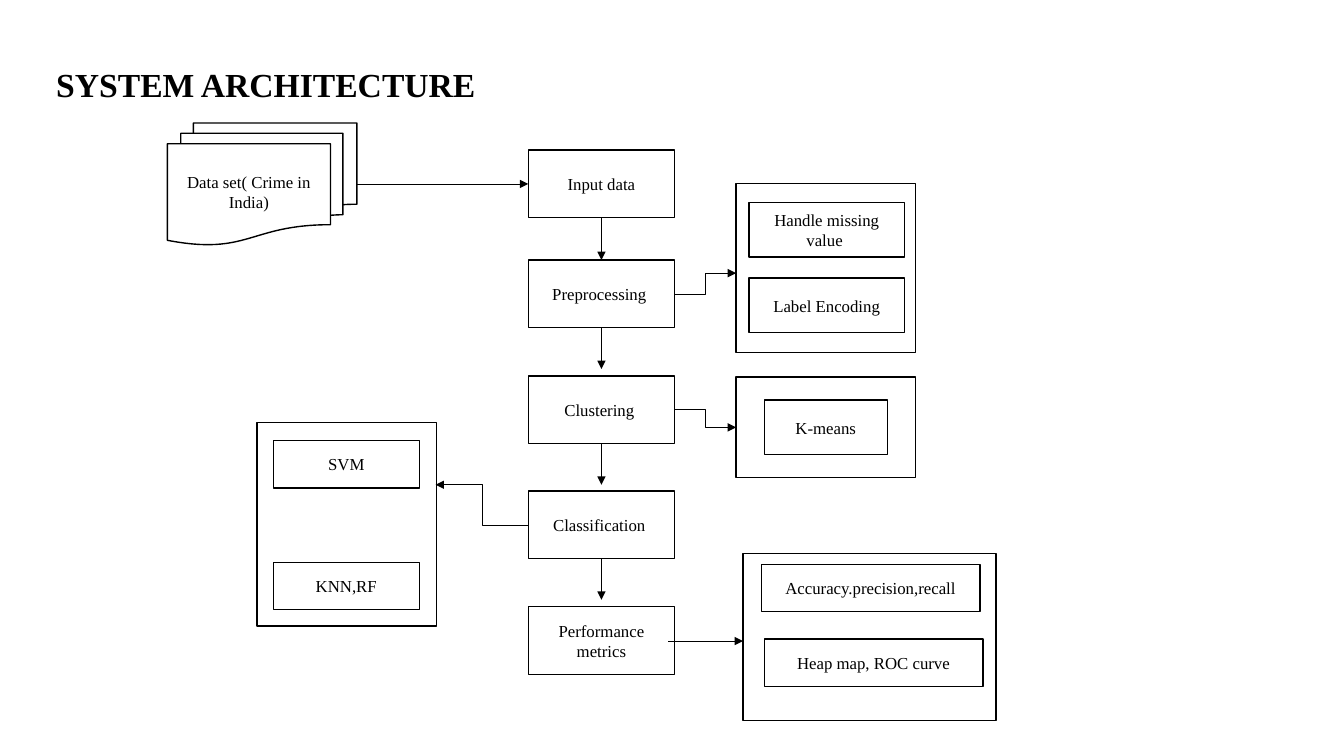
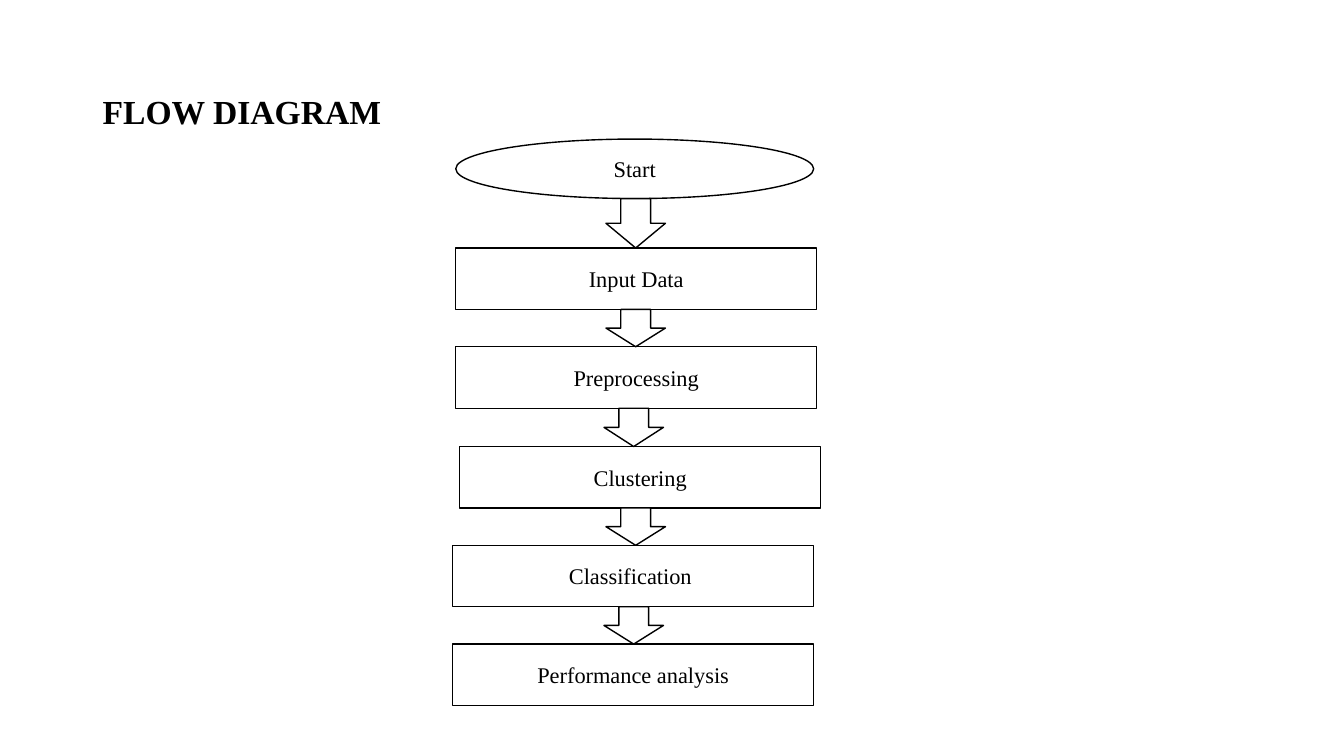
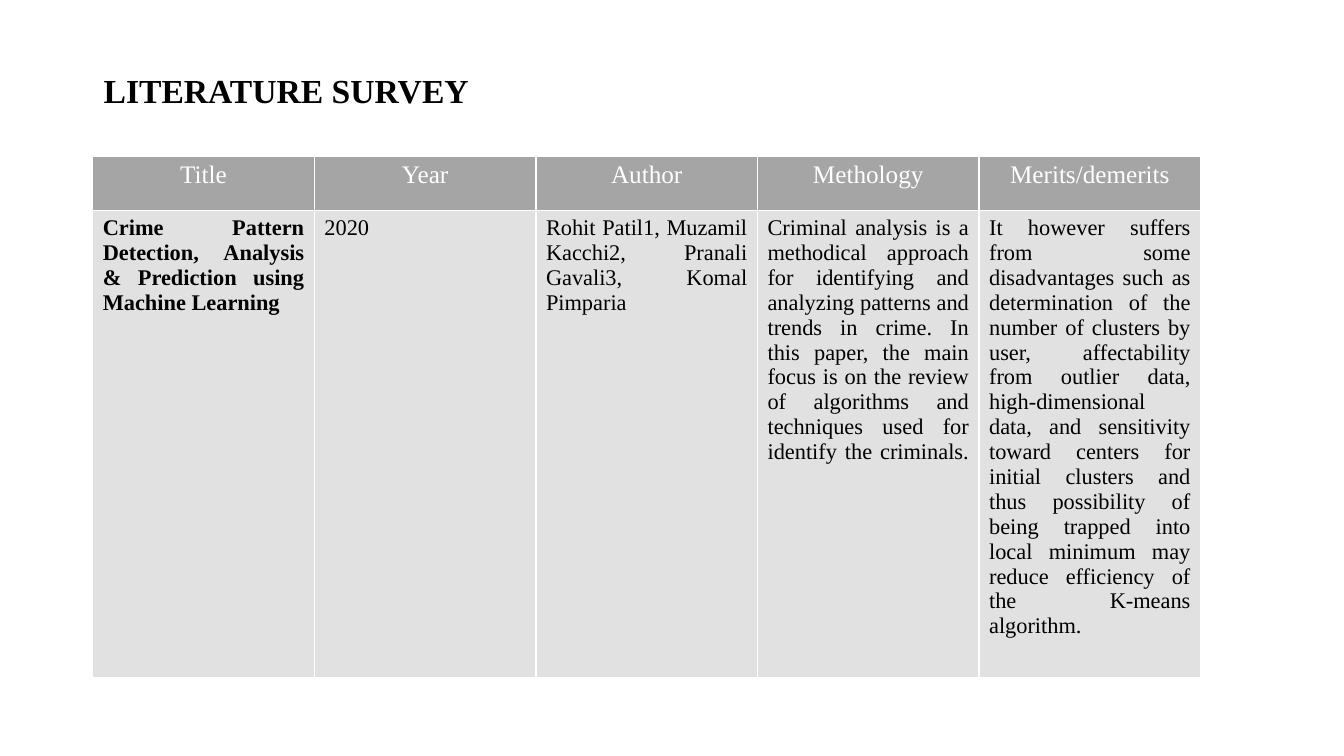
"""Build three slides: system architecture, flow diagram and literature survey."""
from lxml import etree
from pptx import Presentation
from pptx.dml.color import RGBColor
from pptx.enum.shapes import MSO_CONNECTOR, MSO_SHAPE
from pptx.enum.text import MSO_ANCHOR, PP_ALIGN
from pptx.oxml.ns import qn
from pptx.util import Inches, Pt

RECT, OVAL = MSO_SHAPE.RECTANGLE, MSO_SHAPE.OVAL
DOCS, DOWN = MSO_SHAPE.FLOWCHART_MULTIDOCUMENT, MSO_SHAPE.DOWN_ARROW
STRAIGHT, ELBOW = MSO_CONNECTOR.STRAIGHT, MSO_CONNECTOR.ELBOW
CENTER, JUSTIFY, LEFT = PP_ALIGN.CENTER, PP_ALIGN.JUSTIFY, PP_ALIGN.LEFT
MIDDLE = MSO_ANCHOR.MIDDLE
TOP_SIDE, LEFT_SIDE, BOTTOM_SIDE = 0, 1, 2

FONT = "Times New Roman"
BLACK, WHITE, GREY, PALE = "000000", "FFFFFF", "A5A5A5", "E1E1E1"

STAGE_X, STAGE_W, STAGE_H = 5.24, 1.45, 0.67
STAGES = [
    ("Input data", 1.49),
    ("Preprocessing ", 2.58),
    ("Clustering ", 3.73),
    ("Classification ", 4.87),
    ("Performance metrics", 6.02),
]
DATASET = ("Data set( Crime in India)", (1.66, 1.22, 1.88, 1.21))
PANELS = [
    ((7.3, 1.82, 1.78, 1.68), (1.54, 0.54),
     [("Handle missing value ", 7.43, 2.01), ("Label Encoding", 7.43, 2.76)]),
    ((7.3, 3.74, 1.78, 1), (1.22, 0.54), [("K-means", 7.58, 3.97)]),
    ((2.55, 4.19, 1.78, 2.02), (1.45, 0.47),
     [("SVM", 2.71, 4.37), ("KNN,RF", 2.71, 5.58)]),
    ((7.37, 5.49, 2.51, 1.66), (2.17, 0.47),
     [("Accuracy.precision,recall", 7.55, 5.6), ("Heap map, ROC curve", 7.58, 6.34)]),
]
BRANCHES = [
    (ELBOW, 6.69, 2.92, 7.3, 2.71),
    (ELBOW, 6.69, 4.06, 7.3, 4.24),
    (ELBOW, 5.24, 5.21, 4.32, 4.81),
    (STRAIGHT, 6.63, 6.36, 7.37, 6.36),
]
STAGE_ARROW = 0.41

FLOW = [
    ("Start", OVAL, (4.52, 1.38, 3.55, 0.59), 6.01),
    ("Input Data", RECT, (4.52, 2.46, 3.58, 0.61), 6.01),
    ("Preprocessing", RECT, (4.52, 3.44, 3.58, 0.61), 5.99),
    ("Clustering", RECT, (4.56, 4.43, 3.58, 0.61), 6.01),
    ("Classification ", RECT, (4.49, 5.41, 3.58, 0.61), 5.99),
    ("Performance analysis", RECT, (4.49, 6.39, 3.58, 0.61), None),
]
ARROW_W = 0.59

SURVEY = [
    ("Title", "Year", "Author", "Methology", "Merits/demerits"),
    (
        "Crime Pattern Detection, Analysis & Prediction using Machine Learning",
        "2020",
        "Rohit Patil1, Muzamil Kacchi2, Pranali Gavali3, Komal Pimparia",
        "Criminal analysis is a methodical approach for identifying and analyzing "
        "patterns and trends in crime. In this paper, the main focus is on the review "
        "of algorithms and techniques used for identify the criminals. ",
        "It however suffers from some disadvantages such as determination of the "
        "number of clusters by user, affectability from outlier data, high-dimensional "
        "data, and sensitivity toward centers for initial clusters and thus possibility "
        "of being trapped into local minimum may reduce efficiency of the K-means "
        "algorithm.",
    ),
]
SURVEY_BOX = (0.92, 1.55, 10.99, 5.08)
ROW_HEIGHTS = (0.54, 4.54)
ROW_STYLES = [(GREY, WHITE, 18, CENTER), (PALE, BLACK, 16, JUSTIFY)]


def rgb(value):
    return RGBColor.from_string(value)


def inches(values):
    return [Inches(v) for v in values]


def write(tf, text, size, color=BLACK, align=CENTER, bold=False):
    tf.word_wrap = True
    tf.text = text
    p = tf.paragraphs[0]
    p.alignment = align
    for r in p.runs:
        r.font.name, r.font.size, r.font.bold = FONT, Pt(size), bold
        r.font.color.rgb = rgb(color)
    return p


def add_slide(prs, title, left, top):
    slide = prs.slides.add_slide(prs.slide_layouts[6])
    slide.background.fill.solid()
    slide.background.fill.fore_color.rgb = rgb(WHITE)
    tf = slide.shapes.add_textbox(*inches((left, top, 11.5, 1.45))).text_frame
    tf.vertical_anchor = MIDDLE
    write(tf, title, 24, align=LEFT, bold=True).line_spacing = 0.9
    return slide


def add_box(slide, box, text="", size=12, kind=RECT):
    sp = slide.shapes.add_shape(kind, *inches(box))
    sp.shadow.inherit = False
    sp.fill.solid()
    sp.fill.fore_color.rgb = rgb(WHITE)
    sp.line.color.rgb = rgb(BLACK)
    sp.line.width = Pt(1)
    if text:
        sp.text_frame.vertical_anchor = MIDDLE
        write(sp.text_frame, text, size)
    return sp


def add_arrow(slide, kind, *ends):
    line = slide.shapes.add_connector(kind, *inches(ends))
    line.line.color.rgb = rgb(BLACK)
    line.line.width = Pt(0.5)
    etree.SubElement(line.line._get_or_add_ln(), qn("a:tailEnd"), type="triangle")
    etree.SubElement(line._element.spPr, qn("a:effectLst"))
    return line


def add_borders(cell):
    tcPr = cell._tc.get_or_add_tcPr()
    for side in ("lnL", "lnR", "lnT", "lnB"):
        ln = etree.SubElement(tcPr, qn(f"a:{side}"), w=str(Pt(1)))
        fill = etree.SubElement(ln, qn("a:solidFill"))
        etree.SubElement(fill, qn("a:srgbClr"), val=WHITE)


def build_architecture(prs):
    slide = add_slide(prs, "SYSTEM ARCHITECTURE", 0.46, 0.13)
    stages = [add_box(slide, (STAGE_X, top, STAGE_W, STAGE_H), text)
              for text, top in STAGES]
    text, box = DATASET
    add_box(slide, box, text, kind=DOCS)
    for panel, size, items in PANELS:
        add_box(slide, panel)
        for text, left, top in items:
            add_box(slide, (left, top, *size), text)

    mid_y = STAGES[0][1] + STAGE_H / 2
    feed = add_arrow(slide, STRAIGHT, box[0] + box[2], mid_y, STAGE_X, mid_y)
    feed.end_connect(stages[0], LEFT_SIDE)
    mid_x = STAGE_X + STAGE_W / 2
    for i, (_, top) in enumerate(STAGES[:-1]):
        bottom = top + STAGE_H
        line = add_arrow(slide, STRAIGHT, mid_x, bottom, mid_x, bottom + STAGE_ARROW)
        line.begin_connect(stages[i], BOTTOM_SIDE)
        if i == 0:
            line.end_connect(stages[1], TOP_SIDE)
    for branch in BRANCHES:
        add_arrow(slide, *branch)


def build_flow(prs):
    slide = add_slide(prs, "FLOW DIAGRAM", 0.92, 0.4)
    for text, kind, box, _ in FLOW:
        add_box(slide, box, text, 16, kind)
    for (_, _, box, left), (_, _, below, _) in zip(FLOW, FLOW[1:]):
        bottom = box[1] + box[3]
        add_box(slide, (left, bottom, ARROW_W, below[1] - bottom), kind=DOWN)


def build_survey(prs):
    slide = add_slide(prs, "LITERATURE SURVEY", 0.93, 0.19)
    table = slide.shapes.add_table(len(SURVEY), len(SURVEY[0]), *inches(SURVEY_BOX)).table
    table.first_row = table.horz_banding = False
    for i, (texts, (fill, color, size, align)) in enumerate(zip(SURVEY, ROW_STYLES)):
        table.rows[i].height = Inches(ROW_HEIGHTS[i])
        for j, text in enumerate(texts):
            cell = table.cell(i, j)
            add_borders(cell)
            cell.fill.solid()
            cell.fill.fore_color.rgb = rgb(fill)
            write(cell.text_frame, text, size, color, align, bold=(i == 1 and j == 0))


def main():
    prs = Presentation()
    prs.slide_width, prs.slide_height = inches((13.33, 7.5))
    build_architecture(prs)
    build_flow(prs)
    build_survey(prs)
    prs.save("out.pptx")


if __name__ == "__main__":
    main()
